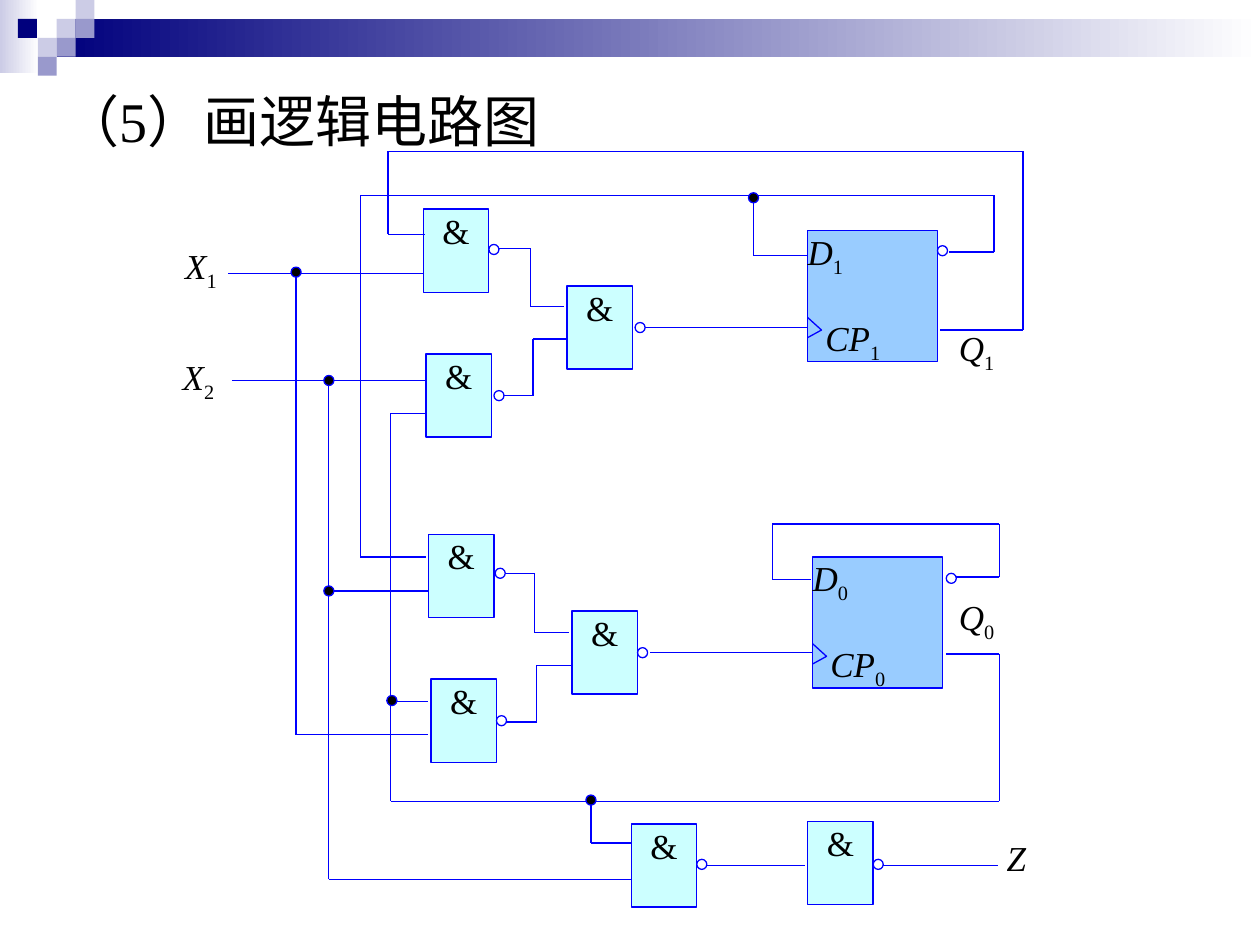
"""Build the logic circuit slide with two flip-flops and NAND gates."""
from itertools import pairwise

from lxml import etree
from pptx import Presentation, util as u
from pptx.dml.color import RGBColor
from pptx.enum import shapes, text
from pptx.oxml.ns import qn

NAVY = RGBColor(0x00, 0x00, 0x7D)
LAVENDER = RGBColor(0xCC, 0xCC, 0xE6)
VIOLET = RGBColor(0x99, 0x99, 0xCC)
WHITE = RGBColor(0xFF, 0xFF, 0xFF)
BLACK = RGBColor(0x00, 0x00, 0x00)
BLUE = RGBColor(0x00, 0x00, 0xFF)
GATE_FILL = RGBColor(0xCC, 0xFF, 0xFF)
FLIP_FLOP_FILL = RGBColor(0x99, 0xCC, 0xFF)
KIND = shapes.MSO_SHAPE
ALIGN = text.PP_ALIGN
STEP = 0.15
DOT = 0.08
GATE_SIZE = (0.52, 0.66)
FLIP_FLOP_SIZE = (1.03, 1.04)

deck = Presentation()
deck.slide_width, deck.slide_height = u.Inches(10), u.Inches(7.5)
page = deck.slides.add_slide(deck.slide_layouts[5])


def add_box(kind, left, top, width, height, color=None, outlined=True):
    box = page.shapes.add_shape(kind, *map(u.Inches, (left, top, width, height)))
    box.shadow.inherit = False
    if color is not None:
        box.fill.solid()
        box.fill.fore_color.rgb = color
    if outlined:
        box.line.color.rgb = BLUE
        box.line.width = u.Pt(0.75)
    else:
        box.line.fill.background()
    return box


def write(frame, lines, align, margins, size=20, anchor=text.MSO_ANCHOR.TOP, wrap=True):
    left, top, right, bottom = map(u.Inches, margins)
    frame_format = {"margin_left": left, "margin_top": top, "margin_right": right,
                    "margin_bottom": bottom, "vertical_anchor": anchor, "word_wrap": wrap}
    for name, value in frame_format.items():
        setattr(frame, name, value)
    for index, (word, subscript, italic) in enumerate(lines):
        para = frame.add_paragraph() if index else frame.paragraphs[0]
        para.alignment = align
        for part, slanted in ((word, italic), (subscript, False)):
            if not part:
                continue
            span = para.add_run()
            span.text = part
            font_format = {"name": "Times New Roman", "size": u.Pt(size), "italic": slanted}
            for name, value in font_format.items():
                setattr(span.font, name, value)
            span.font.color.rgb = BLACK
            if part == subscript:
                span.font._element.set("baseline", "-25000")


for left, top, width, height, color in (
    (0, 0, 0.31, 0.58, LAVENDER),
    (0.45, STEP, 9.55, 0.3, NAVY),
):
    band = add_box(KIND.RECTANGLE, left, top, width, height, outlined=False)
    band.fill.gradient()
    band.fill.gradient_angle = 0
    for stop, shade in zip(band.fill.gradient_stops, (color, WHITE)):
        stop.color.rgb = shade

for column, row, color in (
    (3, 1, LAVENDER), (4, 0, LAVENDER), (4, 1, VIOLET), (2, 2, LAVENDER),
    (0.95, 1, NAVY), (3, 2, VIOLET), (2, 3, VIOLET),
):
    add_box(KIND.RECTANGLE, column * STEP, row * STEP, STEP, STEP, color, outlined=False)

title = page.shapes.title
title.left, title.top, title.width, title.height = map(u.Inches, (0.4, 0.63, 4.29, 0.64))
write(title.text_frame, [("（5）画逻辑电路图", "", False)], ALIGN.LEFT,
      (0.1, 0.05, 0.1, 0.05), 32, text.MSO_ANCHOR.MIDDLE, False)

for word, subscript, left, top in (
    ("Q", "0", 7.61, 4.73), ("Q", "1", 7.61, 2.59),
    ("X", "2", 1.45, 2.82), ("X", "1", 1.47, 1.94), ("Z", "", 7.99, 6.64),
):
    label = page.shapes.add_textbox(*map(u.Inches, (left, top, 0.47, 0.51)))
    write(label.text_frame, [(word, subscript, True)], ALIGN.JUSTIFY, (0, 0, 0, 0.05))

for left, top in (
    (3.36, 1.66), (3.38, 2.81), (4.5, 2.27), (3.4, 4.24),
    (3.42, 5.39), (4.54, 4.85), (5.01, 6.54), (6.41, 6.52),
):
    gate = add_box(KIND.RECTANGLE, left, top, *GATE_SIZE, GATE_FILL)
    write(gate.text_frame, [("&", "", False)], ALIGN.CENTER, (0.1, 0, 0.1, 0.05))

for number, left, top in (("1", 6.41, 1.83), ("0", 6.45, 4.42)):
    flip_flop = add_box(KIND.RECTANGLE, left, top, *FLIP_FLOP_SIZE, FLIP_FLOP_FILL)
    write(flip_flop.text_frame, [("D", number, True), ("CP", number, True)],
          ALIGN.JUSTIFY, (0, 0, 0, 0))
    for para in flip_flop.text_frame.paragraphs:
        para.line_spacing = 0.96
    para.space_before = u.Pt(23)
    para._p.get_or_add_pPr().set("marL", str(u.Inches(0.14)))
    corners = [(u.Inches(left + x), u.Inches(top + y))
               for x, y in ((0, 0.69), (0.11, 0.79), (0, 0.85))]
    builder = page.shapes.build_freeform(*corners[0], scale=1.0)
    builder.add_line_segments(corners[1:], close=False)
    clock = builder.convert_to_shape()
    clock.shadow.inherit = False
    clock.fill.background()
    clock.line.color.rgb = BLUE
    clock.line.width = u.Pt(0.75)

routes = (
    ((3.94, 1.97), (4.21, 1.97), (4.21, 2.43), (4.48, 2.43)),
    ((3.95, 3.14), (4.23, 3.14), (4.23, 2.69), (4.49, 2.69)),
    ((5.12, 2.6), (6.41, 2.6)),
    ((7.53, 2), (7.89, 2), (7.89, 1.55), (2.86, 1.55), (2.86, 4.42), (3.38, 4.42)),
    ((7.46, 2.62), (8.12, 2.62), (8.12, 1.2), (3.08, 1.2), (3.08, 1.86), (3.37, 1.86)),
    ((5.98, 1.55), (5.98, 2.03), (6.41, 2.03)),
    ((1.81, 2.17), (3.36, 2.17)),
    ((2.35, 2.17), (2.35, 5.83), (3.4, 5.83)),
    ((1.84, 3.02), (3.38, 3.02)),
    ((2.61, 3.02), (2.61, 6.98), (5.01, 6.98)),
    ((2.61, 4.69), (3.4, 4.69)),
    ((3.98, 4.55), (4.24, 4.55), (4.24, 5.02), (4.52, 5.02)),
    ((4, 5.73), (4.26, 5.73), (4.26, 5.28), (4.53, 5.28)),
    ((5.16, 5.18), (6.45, 5.18)),
    ((7.57, 4.58), (7.93, 4.58), (7.93, 4.16), (6.13, 4.16), (6.13, 4.6), (6.44, 4.6)),
    ((7.51, 5.19), (7.93, 5.19), (7.93, 6.36), (3.1, 6.36), (3.1, 3.28), (3.38, 3.28)),
    ((3.1, 5.57), (3.4, 5.57)),
    ((4.69, 6.36), (4.69, 6.69), (5.01, 6.69)),
    ((5.61, 6.87), (6.39, 6.87)),
    ((7.01, 6.87), (7.92, 6.87)),
)
for route in routes:
    for start, end in pairwise(route):
        wire = page.shapes.add_connector(shapes.MSO_CONNECTOR.STRAIGHT,
                                         *map(u.Inches, start + end))
        wire.line.color.rgb = BLUE
        wire.line.width = u.Pt(0.75)
        etree.SubElement(wire._element.spPr, qn("a:effectLst"))

inverters = (
    (3.88, 1.94), (3.92, 3.1), (5.04, 2.56), (7.44, 1.95), (3.93, 4.51),
    (3.94, 5.68), (5.06, 5.14), (7.51, 4.55), (5.53, 6.82), (6.93, 6.82),
)
junctions = (
    (2.31, 2.12), (2.57, 2.98), (2.57, 4.65), (3.07, 5.52), (5.94, 1.53), (4.65, 6.31),
)
for places, color in ((inverters, WHITE), (junctions, BLACK)):
    for left, top in places:
        add_box(KIND.OVAL, left, top, DOT, DOT, color)

deck.save("out.pptx")
